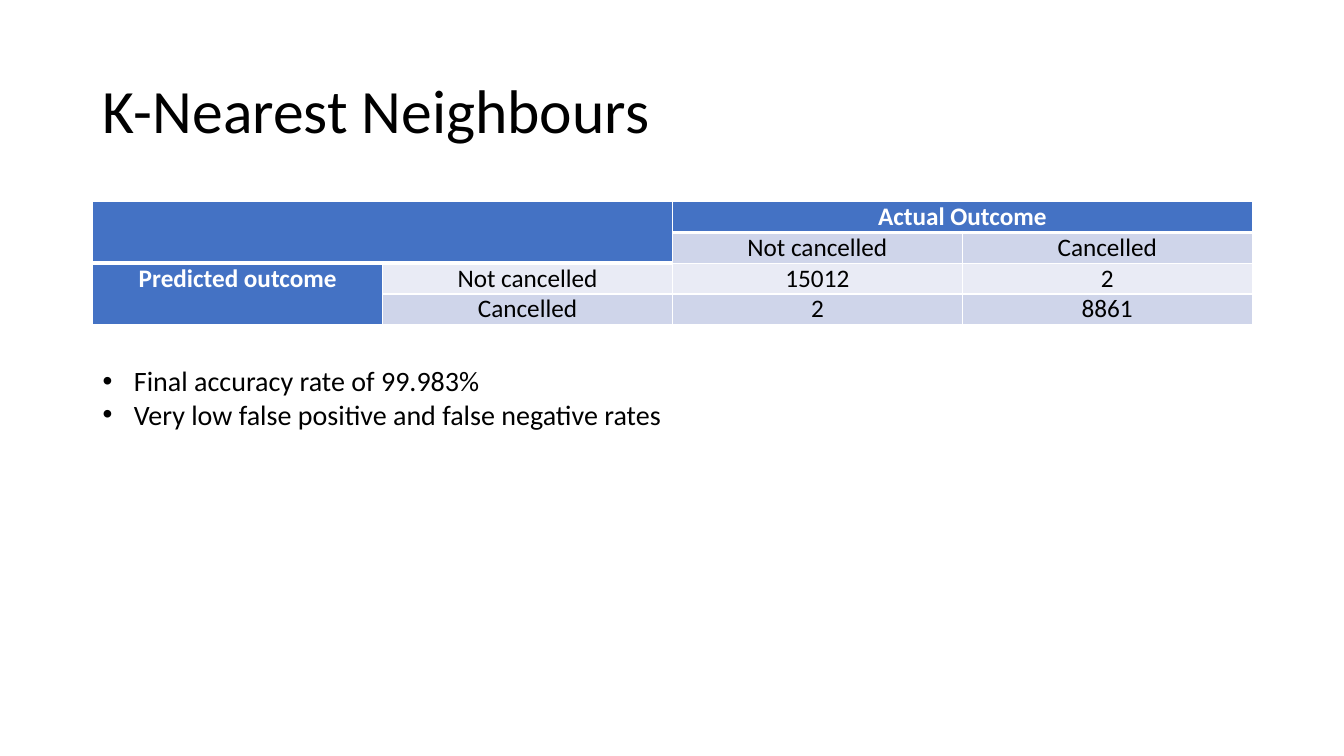
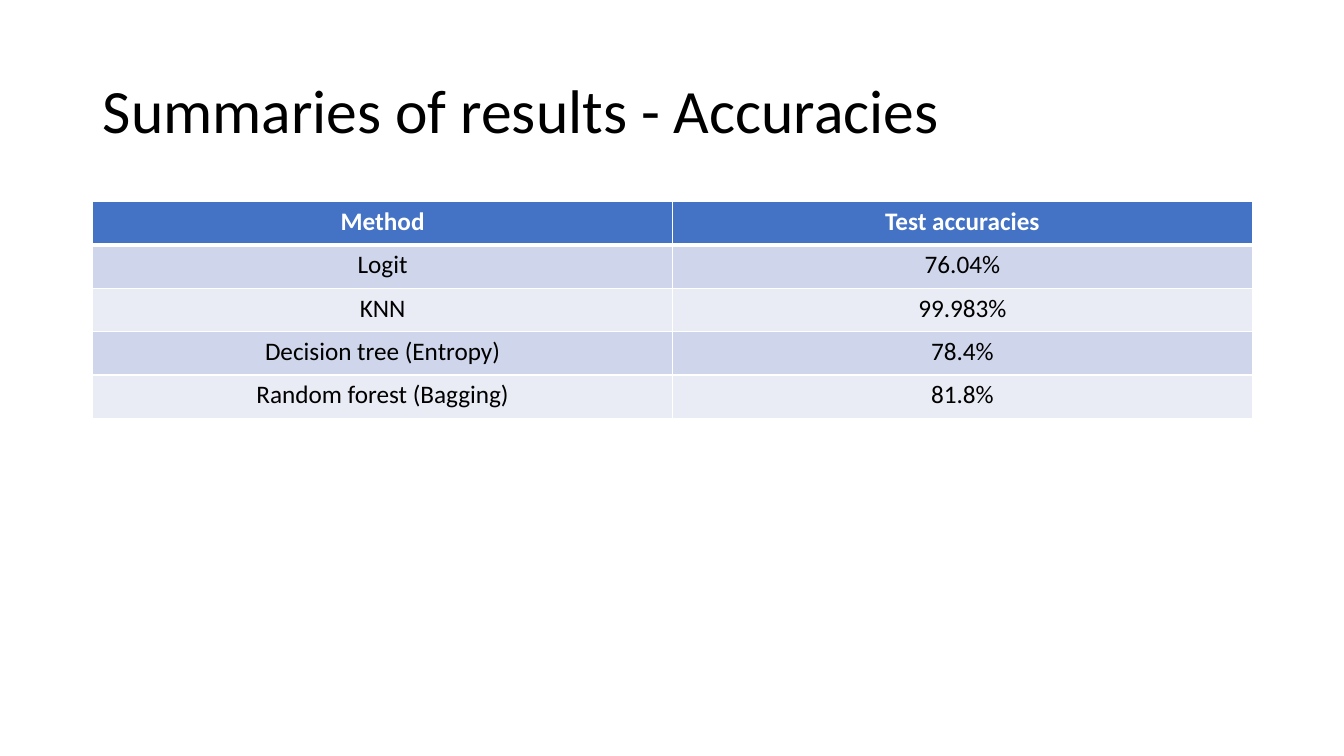
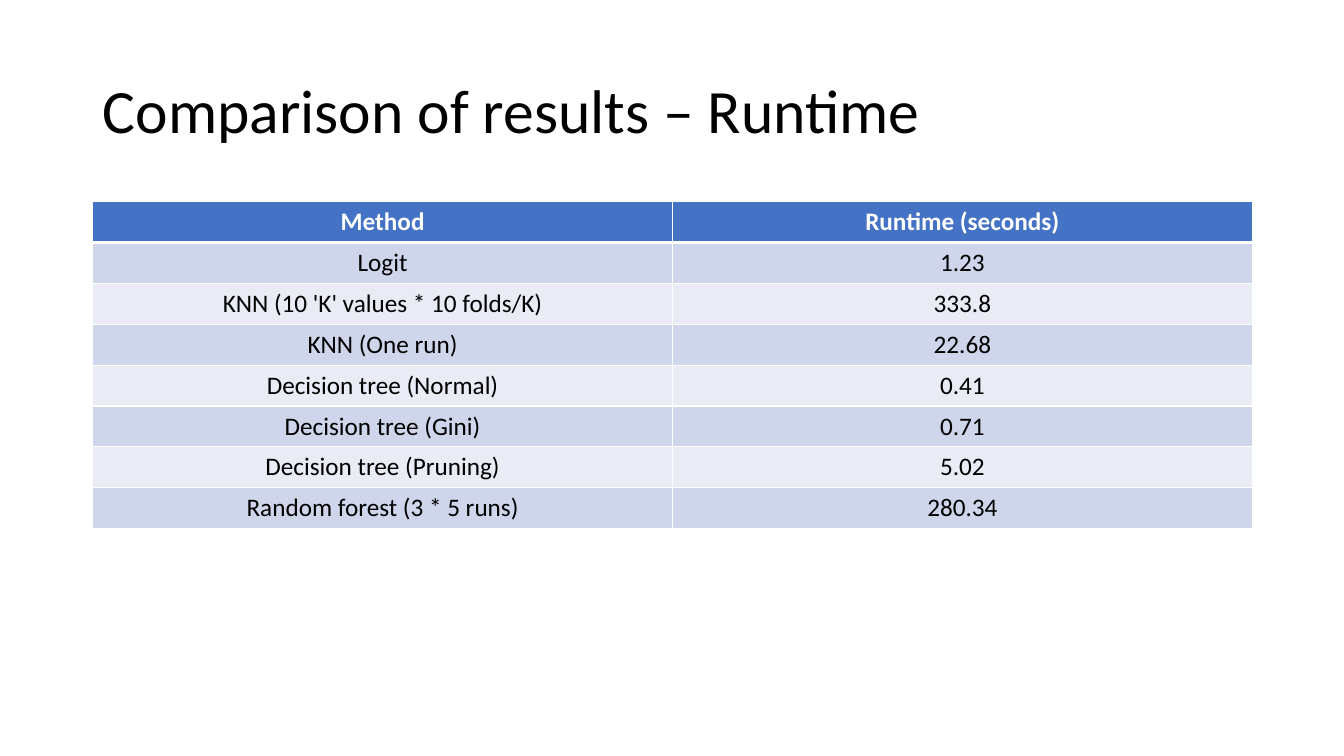
from lxml import etree
from pptx import Presentation
from pptx import util as u
from pptx.dml import color as dml
from pptx.enum import text
from pptx.oxml import ns

FONT = "Calibri"
BLACK, WHITE, BLUE = "000000", "FFFFFF", "4472C4"
BANDS = ["E9EBF5", "CFD5EA"]
LEFT, WIDTH = u.Inches(0.92), u.Inches(11.5)


def style(paragraph, size, color=BLACK, bold=False):
    for span in paragraph.runs:
        span.font.name = FONT
        span.font.size = u.Pt(size)
        span.font.bold = bold
        span.font.color.rgb = dml.RGBColor.from_string(color)


def add_border(cell, edge, points, position):
    line = etree.Element(ns.qn("a:" + edge), w=str(u.Pt(points)))
    fill = etree.SubElement(line, ns.qn("a:solidFill"))
    etree.SubElement(fill, ns.qn("a:srgbClr"), val=WHITE)
    cell._tc.get_or_add_tcPr().insert(position, line)


slides = [
    {
        "title": "K-Nearest\u00a0Neighbours",
        "rows": [
            ["", "", "Actual Outcome", ""],
            ["", "", "Not cancelled", "Cancelled"],
            ["Predicted outcome", "Not cancelled", "15012", "2"],
            ["", "Cancelled", "2", "8861"],
        ],
        "row_height": 0.3,
        "padding": 0,
        "side_padding": 0.07,
        "merges": [((0, 0), (1, 1)), ((0, 2), (0, 3)), ((2, 0), (3, 0))],
        "side_header": True,
        "bullets": [
            "Final accuracy rate of 99.983%",
            "Very low false positive and false negative rates",
        ],
    },
    {
        "title": "Summaries of results - Accuracies",
        "rows": [
            ["Method", "Test accuracies"],
            ["Logit", "76.04%"],
            ["KNN", "99.983%"],
            ["Decision tree (Entropy)", "78.4%"],
            ["Random forest (Bagging)", "81.8%"],
        ],
        "row_height": 0.43,
    },
    {
        "title": "Comparison of results – Runtime",
        "rows": [
            ["Method", "Runtime (seconds)"],
            ["Logit", "1.23"],
            ["KNN (10 'K' values * 10 folds/K)", "333.8"],
            ["KNN (One run)", "22.68"],
            ["Decision tree (Normal)", "0.41"],
            ["Decision tree (Gini)", "0.71"],
            ["Decision tree (Pruning)", "5.02"],
            ["Random forest (3 * 5 runs)", "280.34"],
        ],
        "row_height": 3.24 / 8,
    },
]

deck = Presentation()
deck.slide_width, deck.slide_height = u.Inches(13.33), u.Inches(7.5)

for content in slides:
    page = deck.slides.add_slide(deck.slide_layouts[5])
    title = page.shapes.title
    title.left, title.top = LEFT, u.Inches(0.4)
    title.width, title.height = WIDTH, u.Inches(1.45)
    title.text_frame.text = content["title"]
    title.text_frame.vertical_anchor = text.MSO_ANCHOR.MIDDLE
    title.text_frame.auto_size = text.MSO_AUTO_SIZE.NONE
    heading = title.text_frame.paragraphs[0]
    heading.alignment = text.PP_ALIGN.LEFT
    heading.line_spacing = 0.9
    style(heading, 44)

    rows = content["rows"]
    row_height = u.Inches(content["row_height"])
    table = page.shapes.add_table(
        len(rows), len(rows[0]), LEFT, u.Inches(2), WIDTH, row_height * len(rows)
    ).table
    for table_row in table.rows:
        table_row.height = row_height
    for first, last in content.get("merges", []):
        table.cell(*first).merge(table.cell(*last))

    for row, values in enumerate(rows):
        for column, value in enumerate(values):
            cell = table.cell(row, column)
            is_header = row == 0 or (column == 0 and content.get("side_header", False))
            cell.margin_top = cell.margin_bottom = u.Inches(content.get("padding", 0.05))
            cell.margin_left = cell.margin_right = u.Inches(content.get("side_padding", 0.1))
            cell.fill.solid()
            cell.fill.fore_color.rgb = dml.RGBColor.from_string(
                BLUE if is_header else BANDS[row % 2]
            )
            edges = {"lnL": 1, "lnR": 1, "lnB": 3 if row == 0 else 1}
            if row == 0:
                edges = {"lnL": 1, "lnR": 1, "lnT": 1, "lnB": 3}
            for position, (edge, points) in enumerate(edges.items()):
                add_border(cell, edge, points, position)
            if value:
                cell.text_frame.text = value
                paragraph = cell.text_frame.paragraphs[0]
                paragraph.alignment = text.PP_ALIGN.CENTER
                style(paragraph, 18, WHITE if is_header else BLACK, is_header)

    if "bullets" in content:
        box = page.shapes.add_textbox(LEFT, u.Inches(3.56), u.Inches(11.49), u.Inches(1.11))
        box.text_frame.word_wrap = True
        box.text_frame.text = "\n".join(content["bullets"])
        for paragraph in box.text_frame.paragraphs:
            style(paragraph, 20)
            properties = paragraph._p.get_or_add_pPr()
            properties.set("marL", str(u.Inches(0.31)))
            properties.set("indent", str(-u.Inches(0.31)))
            etree.SubElement(properties, ns.qn("a:buFont"), typeface="Arial")
            etree.SubElement(properties, ns.qn("a:buChar"), char="•")

deck.save("out.pptx")
